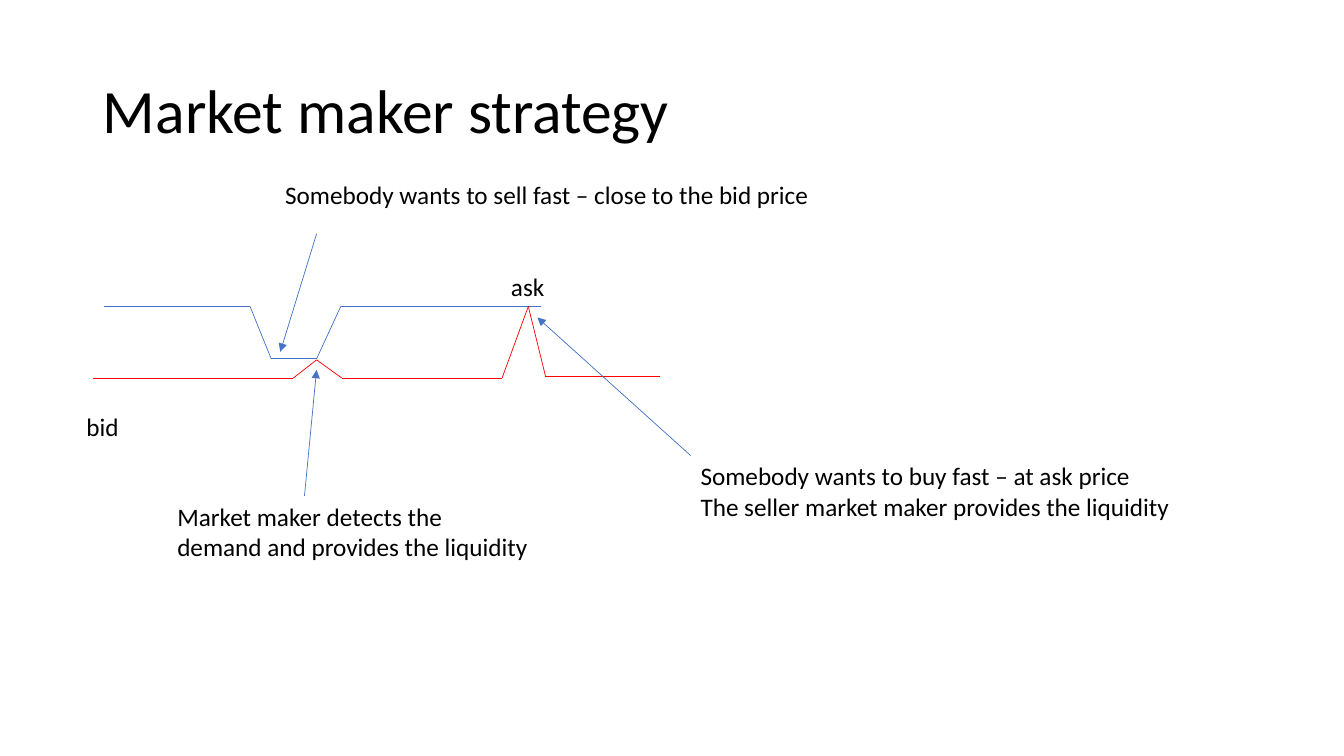
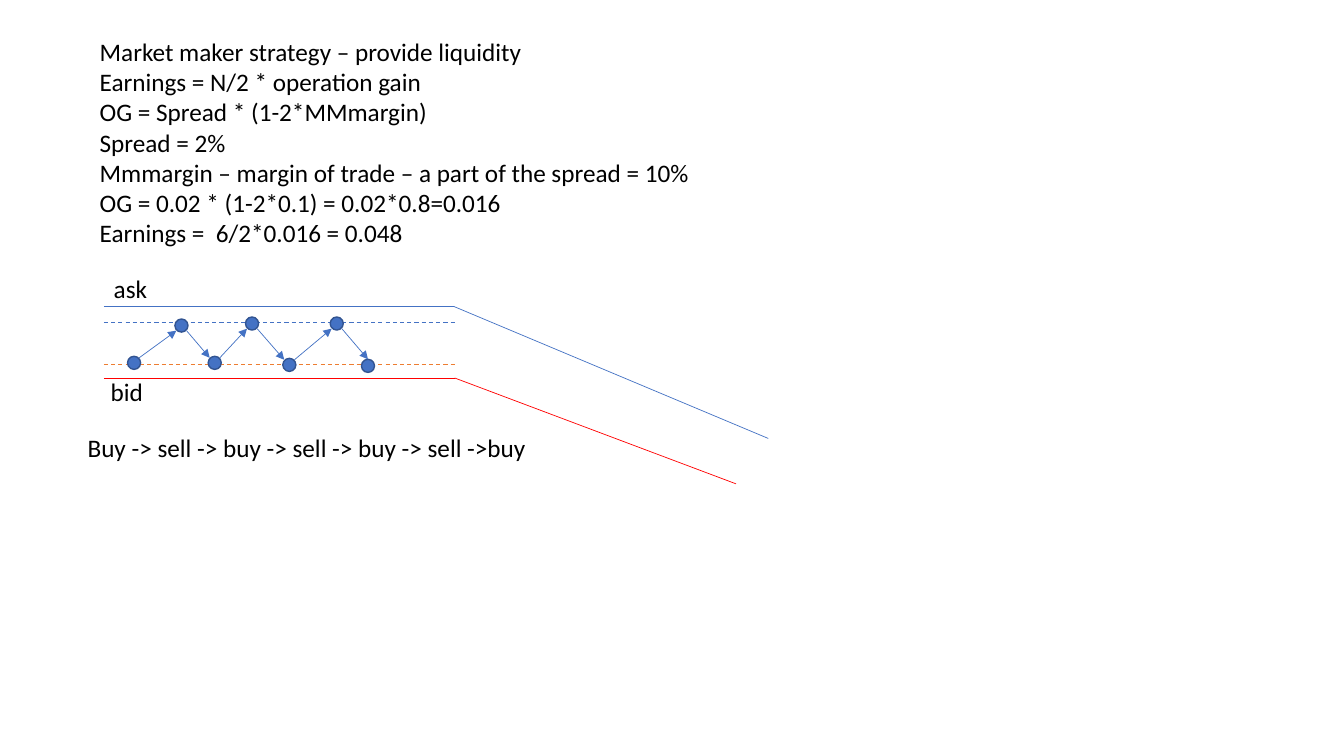
import itertools

import lxml.etree
import pptx
import pptx.dml.color
import pptx.enum.dml
import pptx.enum.shapes
import pptx.enum.text
import pptx.oxml.ns
import pptx.util

Inches = pptx.util.Inches

COLOURS = {
    "text": "000000",
    "ask": "4472C4",
    "bid": "FF0000",
    "buy level": "ED7D31",
    "dot outline": "325491",
}
FONT = "Calibri"
LEFT_EDGE = 1.03
ASK_LEVEL = 3.04
BID_LEVEL = 3.75
DOT_SIZE = 0.13
DOT_CORNER = 0.05  # distance, across and down, from a dot's centre to its diagonal edge


def colour(name):
    return pptx.dml.color.RGBColor.from_string(COLOURS[name])


def write_text(shape, text, size=18, wrap=False, line_spacing=1.0,
               anchor=pptx.enum.text.MSO_ANCHOR.TOP):
    """Fill a shape with one left-aligned paragraph per line of text."""
    frame = shape.text_frame
    frame.text = text
    frame.word_wrap = wrap
    frame.auto_size = pptx.enum.text.MSO_AUTO_SIZE.NONE
    frame.vertical_anchor = anchor
    for paragraph in frame.paragraphs:
        paragraph.alignment = pptx.enum.text.PP_ALIGN.LEFT
        paragraph.line_spacing = line_spacing
        for run in paragraph.runs:
            run.font.name = FONT
            run.font.size = pptx.util.Pt(size)
            run.font.color.rgb = colour("text")


def add_title(slide, text):
    title = slide.shapes.title
    title.left, title.top = Inches(0.92), Inches(0.4)
    title.width, title.height = Inches(11.5), Inches(1.45)
    write_text(title, text, size=44, wrap=True, line_spacing=0.9,
               anchor=pptx.enum.text.MSO_ANCHOR.MIDDLE)


def add_label(slide, text, left, top, width, height=0.4, **text_format):
    box = slide.shapes.add_textbox(
        Inches(left), Inches(top), Inches(width), Inches(height))
    write_text(box, text, **text_format)


def add_line(slide, start, end, colour_name, width=0.5, dashed=False, arrow=False):
    connector = slide.shapes.add_connector(
        pptx.enum.shapes.MSO_CONNECTOR.STRAIGHT,
        *(Inches(length) for length in (*start, *end)))
    connector.line.color.rgb = colour(colour_name)
    connector.line.width = pptx.util.Pt(width)
    if dashed:
        connector.line.dash_style = pptx.enum.dml.MSO_LINE.DASH
    if arrow:
        outline = connector.line._get_or_add_ln()
        lxml.etree.SubElement(outline, pptx.oxml.ns.qn("a:tailEnd"), type="triangle")
    properties = connector._element.spPr
    lxml.etree.SubElement(properties, pptx.oxml.ns.qn("a:effectLst"))


def add_price_path(slide, points, colour_name):
    for start, end in itertools.pairwise(points):
        add_line(slide, start, end, colour_name)


def add_trade_dot(slide, centre):
    x, y = centre
    dot = slide.shapes.add_shape(
        pptx.enum.shapes.MSO_SHAPE.OVAL,
        Inches(x - DOT_SIZE / 2), Inches(y - DOT_SIZE / 2),
        Inches(DOT_SIZE), Inches(DOT_SIZE))
    dot.shadow.inherit = False
    dot.fill.solid()
    dot.fill.fore_color.rgb = colour("ask")
    dot.line.color.rgb = colour("dot outline")
    dot.line.width = pptx.util.Pt(1)


def add_trades(slide, centres):
    """Draw the trades as dots, each with an arrow to the next one."""
    for centre in centres:
        add_trade_dot(slide, centre)
    for (x1, y1), (x2, y2) in itertools.pairwise(centres):
        down = DOT_CORNER if y2 > y1 else -DOT_CORNER
        end = (x2 - DOT_CORNER, y2 - down)
        if (x2, y2) == centres[-1]:
            end = (x2, y2 - DOT_SIZE / 2)
        add_line(slide, (x1 + DOT_CORNER, y1 + down), end, "ask", arrow=True)


def build_strategy_slide(presentation):
    slide = presentation.slides.add_slide(presentation.slide_layouts[5])
    add_title(slide, "Market maker strategy")

    add_price_path(slide, [
        (LEFT_EDGE, ASK_LEVEL), (2.48, ASK_LEVEL), (2.69, 3.56),
        (3.14, 3.56), (3.38, ASK_LEVEL), (5.37, ASK_LEVEL)], "ask")
    add_price_path(slide, [
        (0.92, BID_LEVEL), (2.91, BID_LEVEL), (3.14, 3.57), (3.39, BID_LEVEL),
        (4.98, BID_LEVEL), (5.24, ASK_LEVEL), (5.41, 3.73), (6.55, 3.73)], "bid")
    add_label(slide, "ask", 4.97, 2.64, 0.54)
    add_label(slide, "bid", 0.76, 4.03, 0.53)

    add_label(slide, "Somebody wants to sell fast – close to the bid price",
              2.73, 1.73, 5.45)
    add_label(slide, "Market maker detects the\ndemand and provides the liquidity",
              1.66, 4.92, 3.72, 0.71)
    add_label(slide, "Somebody wants to buy fast – at ask price\n"
              "The seller market maker provides the liquidity",
              6.85, 4.52, 4.9, 0.71)
    for start, end in [((3.14, 2.32), (2.78, 3.49)),
                       ((3.02, 4.92), (3.14, 3.67)),
                       ((6.85, 4.52), (5.33, 3.15))]:
        add_line(slide, start, end, "ask", arrow=True)


def build_earnings_slide(presentation):
    slide = presentation.slides.add_slide(presentation.slide_layouts[6])
    add_label(slide, "\n".join([
        "Market maker strategy – provide liquidity",
        "Earnings = N/2 * operation gain",
        "OG = Spread * (1-2*MMmargin)",
        "Spread = 2%",
        "Mmmargin – margin of trade – a part of the spread = 10%",
        "OG = 0.02 * (1-2*0.1) = 0.02*0.8=0.016",
        "Earnings =  6/2*0.016 = 0.048",
    ]), 0.89, 0.31, 7.18, 2.22, wrap=True)

    add_price_path(
        slide, [(LEFT_EDGE, ASK_LEVEL), (4.5, ASK_LEVEL), (7.62, 4.35)], "ask")
    add_price_path(
        slide, [(LEFT_EDGE, BID_LEVEL), (4.51, BID_LEVEL), (7.3, 4.8)], "bid")
    for level, colour_name in [(3.2, "ask"), (3.62, "buy level")]:
        add_line(slide, (LEFT_EDGE, level), (4.51, level), colour_name,
                 width=0.75, dashed=True)
    add_label(slide, "ask", 1.03, 2.66, 0.54)
    add_label(slide, "bid", 1, 3.68, 0.53)

    add_trades(slide, [(1.33, 3.6), (1.8, 3.23), (2.13, 3.6), (2.5, 3.21),
                       (2.87, 3.62), (3.34, 3.21), (3.65, 3.63)])
    add_label(slide, "Buy -> sell -> buy -> sell -> buy -> sell ->buy",
              0.77, 4.24, 6.25, wrap=True)


def main():
    presentation = pptx.Presentation()
    presentation.slide_width = Inches(13.33)
    presentation.slide_height = Inches(7.5)
    build_strategy_slide(presentation)
    build_earnings_slide(presentation)
    presentation.save("out.pptx")


if __name__ == "__main__":
    main()
